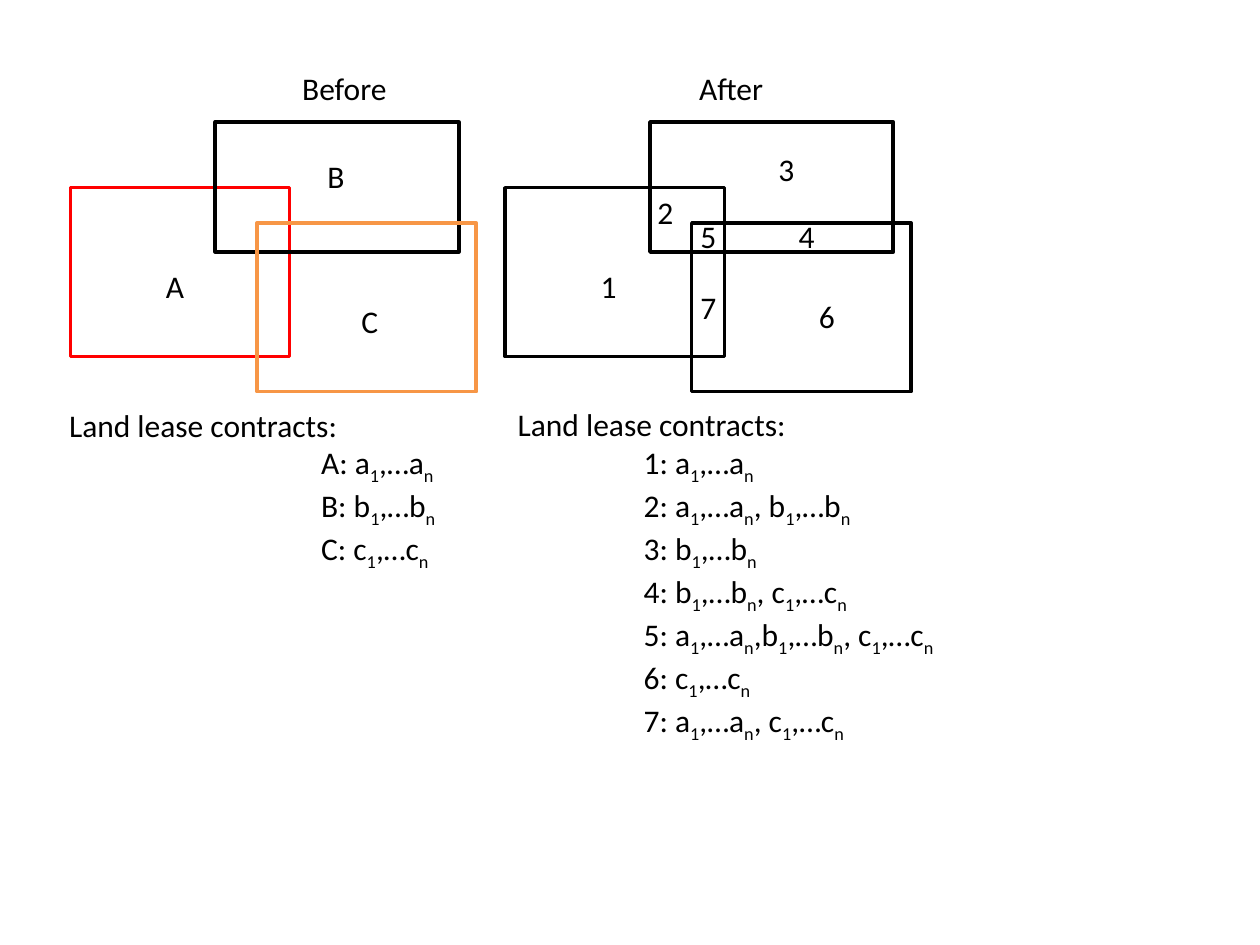
"""Builds the land parcel slide with its lease contracts before and after."""
from dataclasses import dataclass

from pptx import Presentation
from pptx.dml.color import RGBColor
from pptx.enum import shapes, text
from pptx.util import Pt


@dataclass(frozen=True)
class Theme:
    font: str = "Calibri"
    size: int = 18
    black: str = "000000"
    red: str = "FF0000"
    orange: str = "F79646"
    subscript: int = -25000


THEME = Theme()
PARCELS = [(0, 37.5, 125.3, 96.5, 2), (82.8, 0, 139, 74.2, 2.25),
           (106.6, 57.6, 125.3, 96.5, 2)]
LABEL_HEIGHT = 29


def style(paragraph):
    paragraph.font.name = THEME.font
    paragraph.font.size = Pt(THEME.size)
    paragraph.font.color.rgb = RGBColor.from_string(THEME.black)


def add_text(slide, left, top, width, height, wrap):
    shape = slide.shapes.add_textbox(Pt(left), Pt(top), Pt(width), Pt(height))
    shape.text_frame.word_wrap = wrap
    shape.text_frame.auto_size = text.MSO_AUTO_SIZE.SHAPE_TO_FIT_TEXT
    return shape.text_frame


def add_label(slide, wording, left, top, width=23.8):
    paragraph = add_text(slide, left, top, width, LABEL_HEIGHT, False).paragraphs[0]
    paragraph.text = wording
    style(paragraph)


def add_map(slide, left, top, colors, labels):
    for (x, y, width, height, weight), color in zip(PARCELS, colors):
        shape = slide.shapes.add_shape(shapes.MSO_SHAPE.RECTANGLE, Pt(left + x),
                                       Pt(top + y), Pt(width), Pt(height))
        shape.shadow.inherit = False
        shape.fill.background()
        shape.line.color.rgb = RGBColor.from_string(color)
        shape.line.width = Pt(weight)
    for wording, x, y in labels:
        add_label(slide, wording, left + x, top + y)


def add_run(paragraph, wording, subscript=False):
    run = paragraph.add_run()
    run.text = wording
    if subscript:
        run.font._element.set("baseline", str(THEME.subscript))


def add_contracts(slide, left, top, width, height, indent, contracts):
    frame = add_text(slide, left, top, width, height, True)
    frame.paragraphs[0].text = "Land lease contracts:"
    for parcel, series in contracts:
        paragraph = frame.add_paragraph()
        paragraph._p.get_or_add_pPr().set("marL", str(Pt(indent)))
        prefix = f"{parcel}: "
        for character in series:
            prefix += character
            if character.isalpha():
                add_run(paragraph, prefix)
                add_run(paragraph, "1", True)
                add_run(paragraph, f",…{character}")
                add_run(paragraph, "n", True)
                prefix = ""
    for paragraph in frame.paragraphs:
        style(paragraph)


def build():
    presentation = Presentation()
    presentation.slide_width, presentation.slide_height = Pt(720), Pt(540)
    slide = presentation.slides.add_slide(presentation.slide_layouts[6])
    add_map(slide, 40.3, 69.8, [THEME.red, THEME.black, THEME.orange],
            [("A", 47.5, 79.2), ("B", 139.7, 16.6), ("C", 159.1, 99.4)])
    add_map(slide, 288.7, 69.8, [THEME.black] * 3,
            [("1", 47.5, 79.2), ("2", 79.9, 36.7), ("3", 149, 12.2),
             ("4", 160.6, 50.4), ("5", 104.4, 50.4), ("6", 172.1, 96.5),
             ("7", 104.4, 91.4)])
    add_contracts(slide, 32.4, 228.2, 259.2, 108.7, 144,
                  [("A", "a"), ("B", "b"), ("C", "c")])
    add_contracts(slide, 288.7, 228.2, 279.4, 196.6, 72,
                  [("1", "a"), ("2", "a, b"), ("3", "b"), ("4", "b, c"),
                   ("5", "a,b, c"), ("6", "c"), ("7", "a, c")])
    add_label(slide, "Before", 165.6, 36, 63.4)
    add_label(slide, "After", 392.4, 36, 51.8)
    presentation.save("out.pptx")


build()
